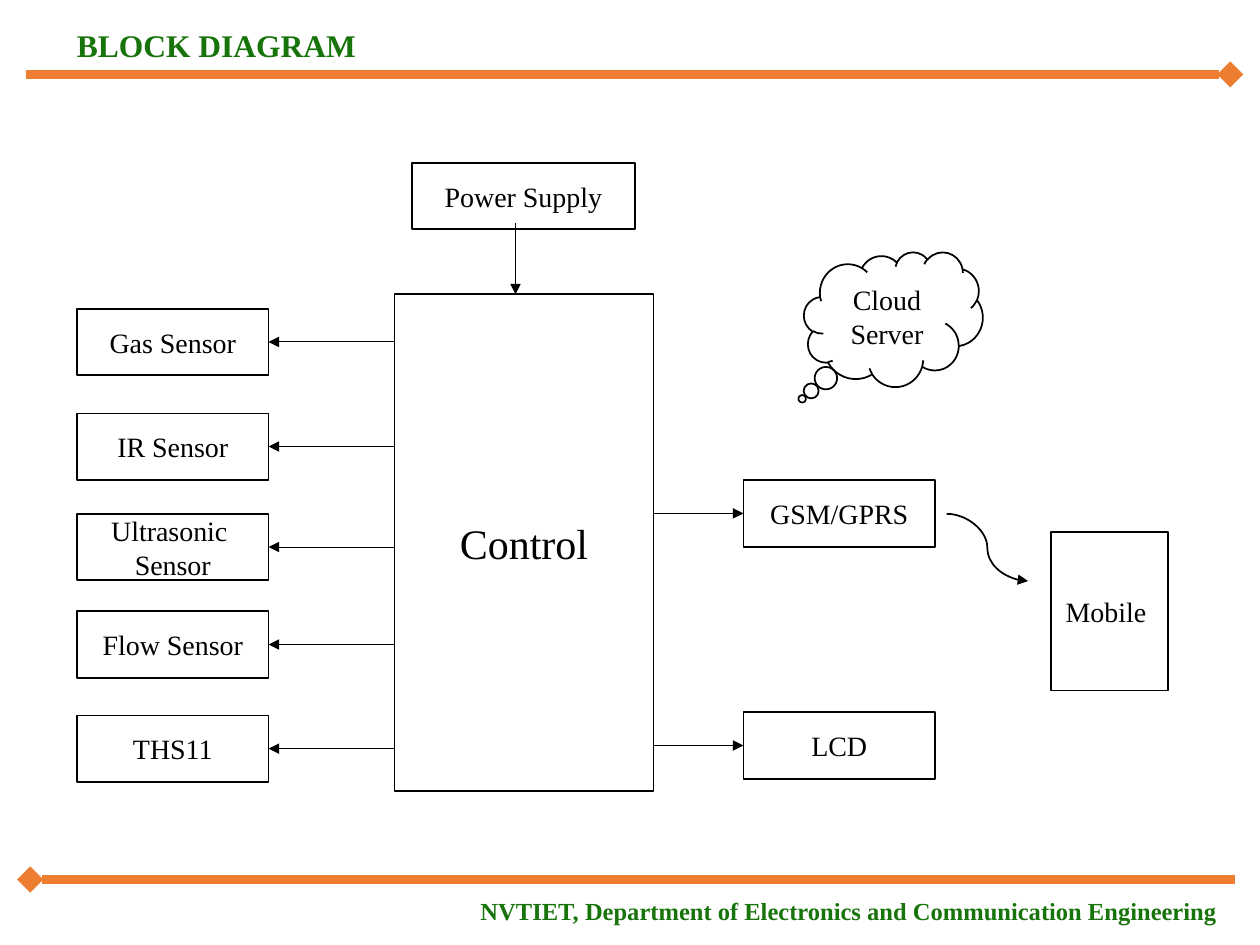
import pptx
import pptx.util
import pptx.dml.color
import pptx.enum.shapes
import pptx.enum.text
import pptx.oxml
import pptx.oxml.ns

Pt = pptx.util.Pt
SHAPE = pptx.enum.shapes.MSO_SHAPE
LINK = pptx.enum.shapes.MSO_CONNECTOR
ALIGN = pptx.enum.text.PP_ALIGN
ANCHOR = pptx.enum.text.MSO_ANCHOR
HUES = {"ink": "000000", "head": "17740A", "bar": "ED7D31"}
FONT = "Times New Roman"
BOX_W, BOX_H = 109.5, 38
LEFT_X, RIGHT_X = 44, 424.8
HUB_X, HUB_W = 225.4, 148


def hue(name):
    return pptx.dml.color.RGBColor.from_string(HUES[name])


def write(frame, text, size, tint, align, bold=False):
    frame.word_wrap = True
    frame.text = text
    for para in frame.paragraphs:
        para.alignment = align
        for run in para.runs:
            font = run.font
            font.name, font.size, font.bold = FONT, Pt(size), bold
            font.color.rgb = hue(tint)


def place(shape, x, y, w, h):
    shape.left, shape.top, shape.width, shape.height = map(Pt, (x, y, w, h))


def label(shape, text, size, align):
    frame = shape.text_frame
    frame.auto_size = pptx.enum.text.MSO_AUTO_SIZE.NONE
    frame.vertical_anchor = ANCHOR.TOP
    write(frame, text, size, "head", align, True)


def block(slide, text, x, y, w=BOX_W, h=BOX_H, size=16, kind=SHAPE.RECTANGLE):
    shape = slide.shapes.add_shape(kind, Pt(x), Pt(y), Pt(w), Pt(h))
    shape.shadow.inherit = False
    shape.fill.background()
    shape.line.color.rgb = hue("ink")
    shape.line.width = Pt(1)
    shape.text_frame.vertical_anchor = ANCHOR.MIDDLE
    write(shape.text_frame, text, size, "ink", ALIGN.CENTER)
    return shape


def link(slide, start, end, width, tint="ink", tip="triangle", side="tail",
         kind=LINK.STRAIGHT):
    line = slide.shapes.add_connector(kind, *map(Pt, start + end))
    line.line.color.rgb = hue(tint)
    line.line.width = Pt(width)
    mark = pptx.oxml.ns.qn(f"a:{side}End")
    line.line._get_or_add_ln().makeelement(mark)
    node = pptx.oxml.parse_xml(
        f'<a:{side}End {pptx.oxml.ns.nsdecls("a")} type="{tip}"/>')
    line.line._get_or_add_ln().append(node)
    line._element.spPr.append(pptx.oxml.parse_xml(
        f'<a:effectLst {pptx.oxml.ns.nsdecls("a")}/>'))
    return line


def frame_page(slide):
    title = slide.shapes.title
    place(title, 36.7, 11.5, 599, 28.8)
    label(title, "BLOCK DIAGRAM", 18, ALIGN.LEFT)
    link(slide, (15, 42.5), (703, 42.5), 5, "bar", "diamond")
    link(slide, (17.3, 502.6), (705.6, 502.6), 5, "bar", "diamond", "head")
    foot = slide.shapes.add_textbox(Pt(36.7), Pt(508.3), Pt(666), Pt(24.5))
    label(foot, "NVTIET, Department of Electronics and Communication Engineering",
          14, ALIGN.RIGHT)


def spokes(slide, items, x, edge, side, width):
    for text, y in items:
        box = block(slide, text, x, y)
        mid = y + BOX_H / 2
        line = link(slide, (edge, mid), (x, mid), width)
        line.end_connect(box, side)


def main():
    deck = pptx.Presentation()
    deck.slide_width, deck.slide_height = Pt(720), Pt(540)
    slide = deck.slides.add_slide(deck.slide_layouts[5])
    frame_page(slide)
    block(slide, "Control", HUB_X, 168.2, HUB_W, 284, 24)
    sensors = [("Gas Sensor", 176.4), ("IR Sensor", 236.2),
               ("Ultrasonic \nSensor", 293.6), ("Flow Sensor", 349.3),
               ("THS11", 408.8)]
    spokes(slide, sensors, LEFT_X, HUB_X, 3, 0.5)
    outs = [("GSM/GPRS", 274.4), ("LCD", 407)]
    spokes(slide, outs, RIGHT_X, HUB_X + HUB_W, 1, 1)
    block(slide, "Power Supply", 235.4, 93, 127.4)
    link(slide, (294.6, 127.5), (294.6, 168.2), 0.5)
    cloud = block(slide, "Cloud Server", 459.4, 144, 102.2, 77,
                  kind=SHAPE.CLOUD_CALLOUT)
    cloud.adjustments[0], cloud.adjustments[1] = -0.51, 0.59
    block(slide, "Mobile ", 600.5, 304, 67, 90.7)
    link(slide, (540.9, 293.6), (587.5, 332), 1, kind=LINK.CURVE)
    deck.save("out.pptx")


if __name__ == "__main__":
    main()
